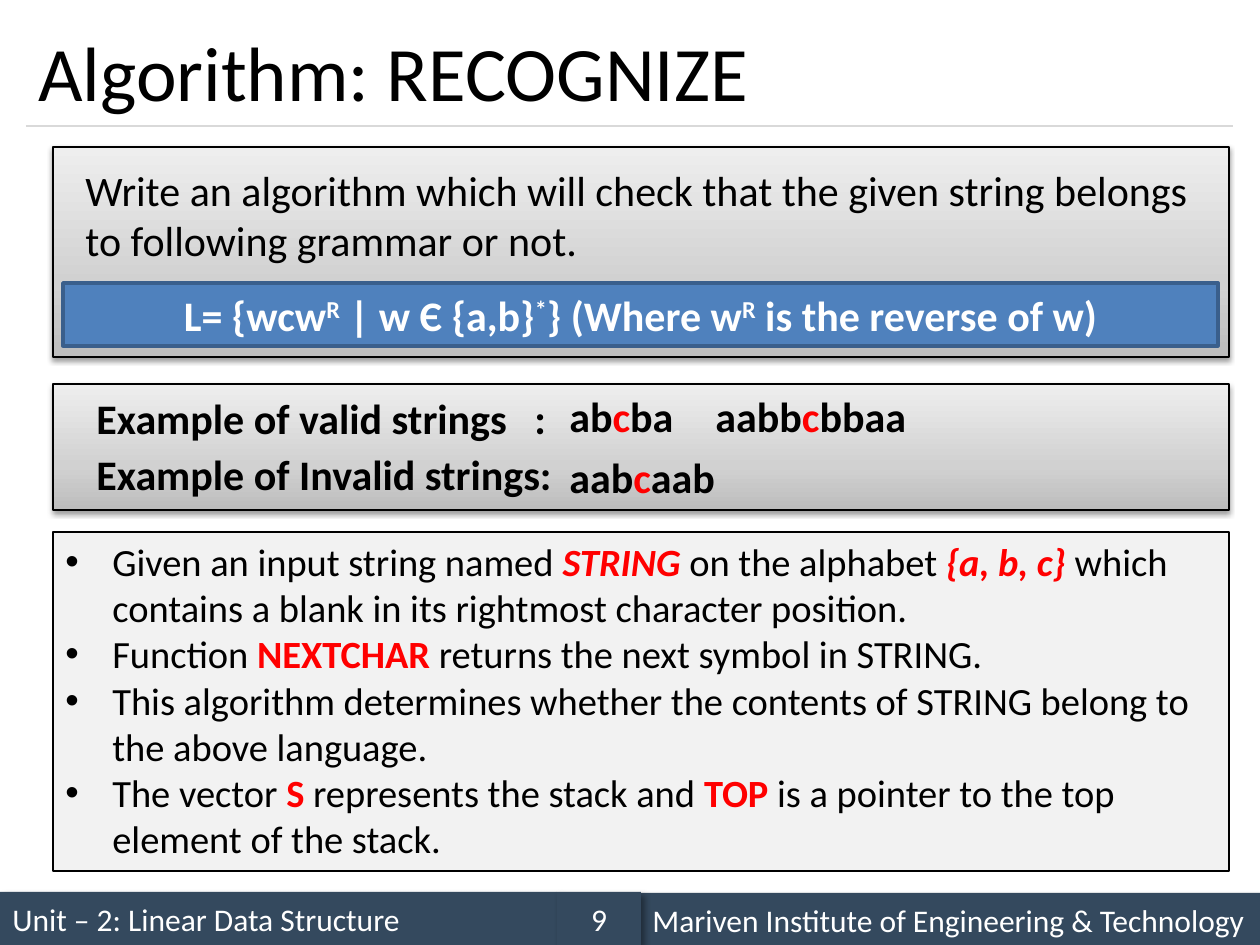
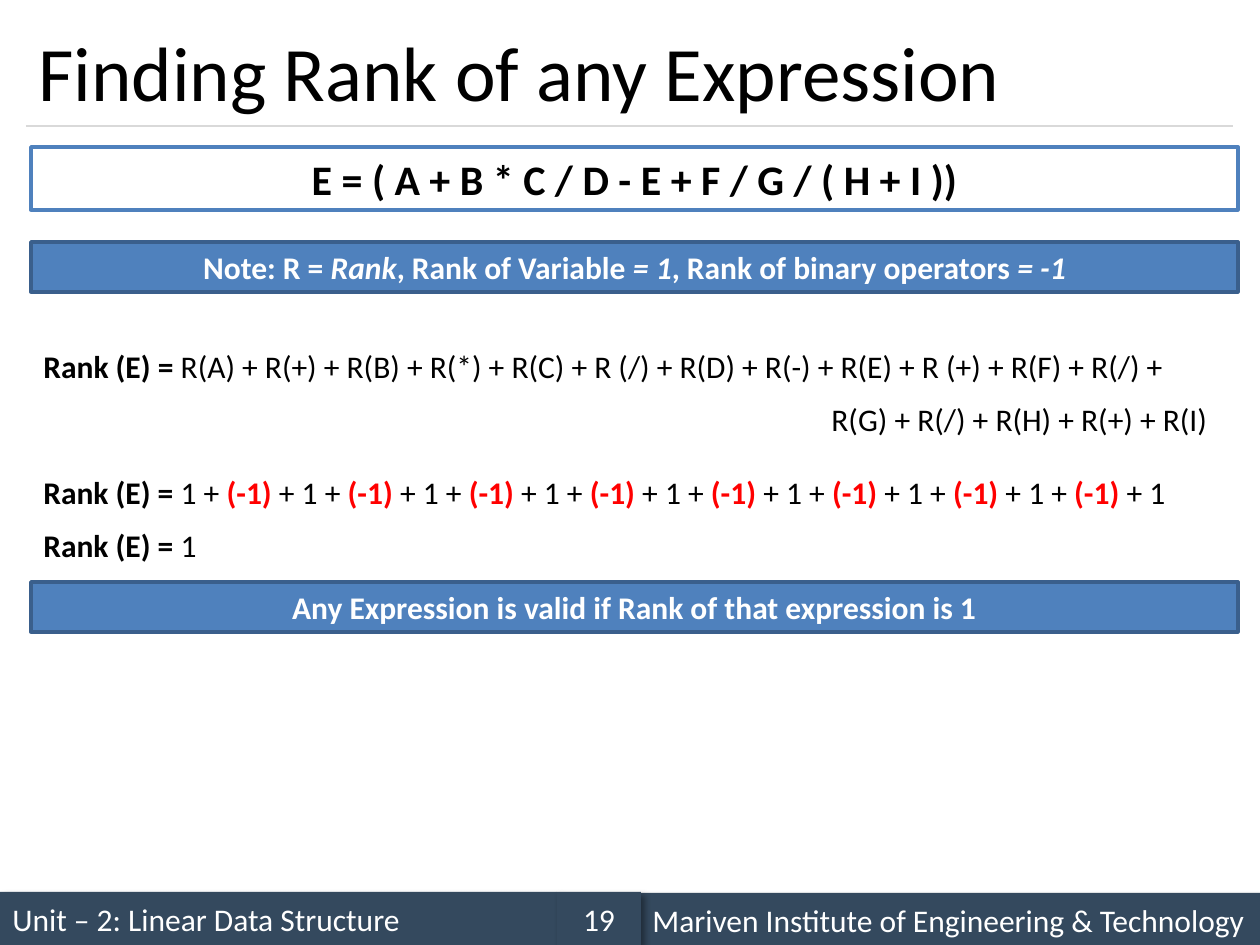
import collections

import pptx
import pptx.dml.color
import pptx.enum.shapes
import pptx.enum.text
import pptx.oxml
import pptx.oxml.ns
import pptx.util

PX_PER_INCH = 126
FONT = "Calibri"
COLORS = {
    "text": "000000",
    "white": "FFFFFF",
    "accent": "FF0000",
    "footer": "34495E",
    "rule": "D9D9D9",
    "blue": "4F81BD",
    "blue_edge": "3A5F8C",
    "panel": "F2F2F2",
}
CARD_STOPS = ((0, "BDBDBD"), (35, "D1D1D1"), (100, "EEEEEE"))
Shadow = collections.namedtuple("Shadow", "alpha blur distance angle")
FOOTER_SHADOW = Shadow(40, 4, 3, 45)
CARD_SHADOW = Shadow(38, 3.1, 1.6, 90)
LEFT = pptx.enum.text.PP_ALIGN.LEFT
CENTER = pptx.enum.text.PP_ALIGN.CENTER
TOP = pptx.enum.text.MSO_ANCHOR.TOP
MIDDLE = pptx.enum.text.MSO_ANCHOR.MIDDLE


class Box(collections.namedtuple("Box", "left top width height")):
    def inner(self, left, top, width, height):
        return Box(self.left + left, self.top + top, width, height)

    def emu(self):
        return [px(length) for length in self]


def px(length):
    return pptx.util.Emu(round(length * 914400 / PX_PER_INCH))


def rgb(name):
    return pptx.dml.color.RGBColor.from_string(COLORS[name])


def add_node(parent, tag, **attributes):
    node = parent.makeelement(pptx.oxml.ns.qn(tag), {key: str(value) for key, value in attributes.items()})
    parent.append(node)
    return node


def add_spans(para, spans, size, color="text", bold=False):
    for span in spans:
        words, marks = (span, "") if isinstance(span, str) else span
        run = para.add_run()
        run.text = words
        run.font.name = FONT
        run.font.size = pptx.util.Pt(size)
        run.font.bold = bold or "b" in marks
        run.font.italic = "i" in marks
        run.font.color.rgb = rgb("accent" if "r" in marks else color)
        if "^" in marks:
            run.font._element.set("baseline", "30000")


def write(shape, paras, size, color="text", bold=False, align=LEFT, anchor=TOP):
    frame = shape.text_frame
    frame.word_wrap = True
    frame.vertical_anchor = anchor
    for index, spans in enumerate(paras):
        para = frame.add_paragraph() if index else frame.paragraphs[0]
        para.alignment = align
        add_spans(para, spans, size, color, bold)
    return frame


def add_label(owner, box, spans, size, bold=False, anchor=TOP):
    shape = owner.shapes.add_textbox(*box.emu())
    return write(shape, [spans], size, bold=bold, anchor=anchor)


def add_panel(owner, box, fill=None, edge=None, weight=0.75, shadow=None):
    shape = owner.shapes.add_shape(pptx.enum.shapes.MSO_SHAPE.RECTANGLE, *box.emu())
    if fill:
        shape.fill.solid()
        shape.fill.fore_color.rgb = rgb(fill)
    if edge:
        shape.line.color.rgb = rgb(edge)
        shape.line.width = pptx.util.Pt(weight)
    else:
        shape.line.fill.background()
    shape.shadow.inherit = False
    if shadow:
        effects = shape.element.spPr.find(pptx.oxml.ns.qn("a:effectLst"))
        outer = add_node(
            effects, "a:outerShdw", blurRad=pptx.util.Pt(shadow.blur),
            dist=pptx.util.Pt(shadow.distance), dir=shadow.angle * 60000, rotWithShape=0,
        )
        tint = add_node(outer, "a:srgbClr", val=COLORS["text"])
        add_node(tint, "a:alpha", val=shadow.alpha * 1000)
    return shape


def add_card(owner, box):
    shape = add_panel(owner, box, edge="text", shadow=CARD_SHADOW)
    shape.fill.gradient()
    shape.fill.gradient_angle = 90
    stops = shape.element.spPr.find(".//" + pptx.oxml.ns.qn("a:gsLst"))
    for stop in list(stops):
        stops.remove(stop)
    for position, color in CARD_STOPS:
        add_node(add_node(stops, "a:gs", pos=position * 1000), "a:srgbClr", val=color)


def add_blue_band(owner, box, spans, size):
    shape = add_panel(owner, box, "blue", "blue_edge", 2)
    write(shape, [spans], size, "white", True, CENTER, MIDDLE)


def add_footer(page, box, number):
    parts = (
        (0, 0, 557, "Unit – 2: Linear Data Structure", LEFT),
        (640, 1, 620, "Mariven Institute of Engineering & Technology", LEFT),
        (557, 0, 84, str(number), CENTER),
    )
    for left, top, width, words, align in parts:
        part = box.inner(left, top, width, box.height)
        shape = add_panel(page, part, "footer", shadow=FOOTER_SHADOW)
        write(shape, [[words]], 18, "white", align=align, anchor=MIDDLE)


def add_title(page, box, title):
    rule = page.shapes.add_connector(
        pptx.enum.shapes.MSO_CONNECTOR.STRAIGHT,
        px(box.left), px(box.top + box.height),
        px(box.left + box.width), px(box.top + box.height),
    )
    rule.line.color.rgb = rgb("rule")
    rule.line.width = pptx.util.Pt(0.75)
    add_node(rule._element.spPr, "a:effectLst")
    add_label(page, box, [title], 44, anchor=MIDDLE)


def add_page(deck, title, number):
    page = deck.slides.add_slide(deck.slide_layouts[6])
    add_footer(page, Box(0, 892, 1260, 53), number)
    add_title(page, Box(26, 15, 1207, 111), title)
    return page


def add_problem(page, box):
    group = page.shapes.add_group_shape()
    add_card(group, box)
    add_label(group, box.inner(20, 11, 1134, 115), [
        "Write an algorithm which will check that the given string belongs to following grammar or not.",
    ], 24)
    add_blue_band(group, box.inner(10, 136, 1155, 63), [
        "L= {wcw", ("R", "^"), " | w Є {a,b}", ("*", "^"),
        "} (Where w", ("R", "^"), " is the reverse of w)",
    ], 24)


def add_examples(page, box):
    add_card(page, box)
    valid = add_label(page, box.inner(31, 2, 483, 63), ["Example of valid strings\t:"], 24, True)
    tabs = add_node(valid.paragraphs[0]._p.get_or_add_pPr(), "a:tabLst")
    add_node(tabs, "a:tab", pos=px(438), algn="l")
    add_label(page, box.inner(31, 58, 483, 63), ["Example of Invalid strings:"], 24, True)
    for left, top, width, start, end in (
        (504, 0, 147, "ab", "ba"),
        (650, 0, 221, "aabb", "bbaa"),
        (504, 61, 179, "aab", "aab"),
    ):
        add_label(page, box.inner(left, top, width, 63), [start, ("c", "r"), end], 24, True)


def add_notes_panel(page, box):
    shape = add_panel(page, box, "panel", "text")
    frame = write(shape, [
        ["Given an input string named ", ("STRING ", "bir"), "on the alphabet ",
         ("{a, b, c} ", "bir"), "which contains a blank in its rightmost character position."],
        ["Function ", ("NEXTCHAR ", "br"), "returns the next symbol in STRING."],
        ["This algorithm determines whether the contents of STRING belong to the above language."],
        ["The vector ", ("S", "br"), " represents the stack and ", ("TOP", "br"),
         " is a pointer to the top element of the stack."],
    ], 22)
    for para in frame.paragraphs:
        properties = para._p.get_or_add_pPr()
        properties.set("marL", str(px(47)))
        properties.set("indent", str(px(-47)))
        add_node(properties, "a:buFont", typeface="Arial")
        add_node(properties, "a:buChar", char="•")


def add_rank_steps(page, box):
    heading = ("Rank (E) =", "b")
    add_label(page, box.inner(0, 0, 1191, 50), [
        heading,
        " R(A) + R(+) + R(B) + R(*) + R(C) + R (/) + R(D) + R(-) + R(E) + R (+) + R(F) + R(/) +",
    ], 18)
    add_label(page, box.inner(788, 53, 420, 50), ["R(G) + R(/) + R(H) + R(+) + R(I)"], 18)
    operators = 8
    ranks = [heading, " 1"]
    for _ in range(operators):
        ranks += [" + ", ("(-1)", "br"), " + 1"]
    add_label(page, box.inner(0, 126, box.width, 50), ranks, 18)
    add_label(page, box.inner(0, 179, box.width, 50), [heading, " 1"], 18)


def build_recognize(deck):
    page = add_page(deck, "Algorithm: RECOGNIZE", 9)
    add_problem(page, Box(53, 147, 1176, 210))
    add_notes_panel(page, Box(53, 532, 1176, 339))
    add_examples(page, Box(53, 384, 1176, 126))


def build_rank(deck):
    page = add_page(deck, "Finding Rank of any Expression", 19)
    body = Box(31, 147, 1207, 486)
    expression = add_panel(page, body.inner(0, 0, body.width, 63), "white", "blue", 2)
    write(expression, [["E = ( A + B * C / D - E + F / G / ( H + I ))"]], 24,
          bold=True, align=CENTER, anchor=MIDDLE)
    add_blue_band(page, body.inner(0, 95, body.width, 50), [
        "Note: R = ", ("Rank", "i"), ", Rank of Variable ", ("= 1", "i"),
        ", Rank of binary operators ", ("= -1", "i"),
    ], 18)
    add_rank_steps(page, body.inner(0, 194, body.width, 229))
    add_blue_band(page, body.inner(0, 435, body.width, 50), [
        "Any Expression is valid if Rank of that expression is 1",
    ], 18)


def main():
    deck = pptx.Presentation()
    deck.slide_width = px(1260)
    deck.slide_height = px(945)
    build_recognize(deck)
    build_rank(deck)
    deck.save("out.pptx")


if __name__ == "__main__":
    main()
